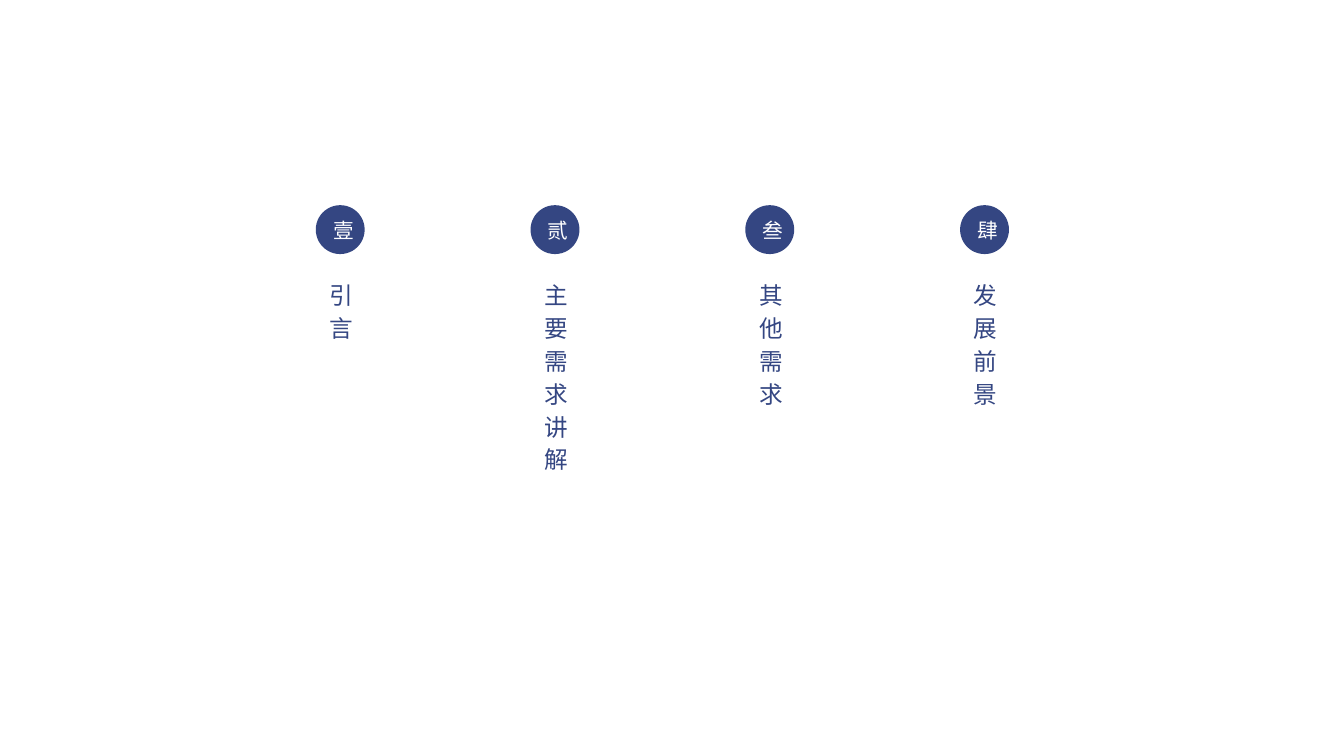
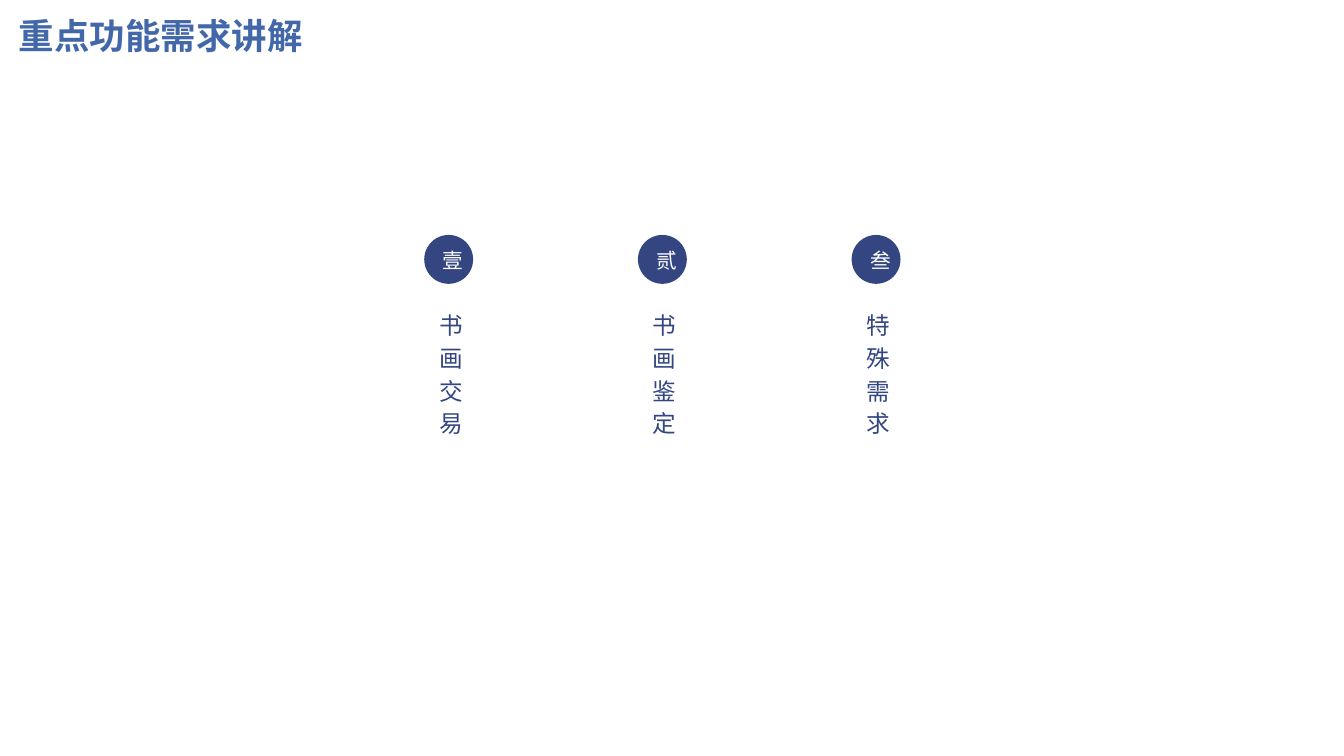
"""Builds a contents slide and a section slide with numbered vertical labels."""
from pptx import Presentation
from pptx.dml.color import RGBColor as RGB
from pptx.enum.shapes import MSO_SHAPE as Shape
from pptx.enum.text import MSO_AUTO_SIZE as Fit, PP_ALIGN as Align
from pptx.util import Inches, Pt

MARKS = "壹贰叁肆"
SLIDES = [
    {"title": None, "left": 2.97, "top": 1.93, "step": 2.02, "shift": -0.01,
     "labels": ["引言", "主要需求讲解", "其他需求", "发展前景"]},
    {"title": "重点功能需求讲解", "left": 3.99, "top": 2.21, "step": 2.01, "shift": 0,
     "labels": ["书画交易", "书画鉴定", "特殊需求"]},
]


class Theme:
    font = "Noto Sans CJK SC"
    navy = RGB.from_string("344682")
    blue = RGB.from_string("4368AA")
    white = RGB.from_string("FFFFFF")
    title, label, mark = Pt(24), Pt(16), Pt(14)
    spacing = 1.16
    side, edge = 0.14, 0.07


def add_text(slide, text, box, size, color, bold=False):
    frame = slide.shapes.add_textbox(*map(Inches, box)).text_frame
    frame.word_wrap = True
    para = frame.paragraphs[0]
    run = para.add_run()
    run.text = text
    font = run.font
    font.name, font.size, font.bold = Theme.font, size, bold
    font.color.rgb = color
    props = run._r.get_or_add_rPr()
    east = props.makeelement(
        "{http://schemas.openxmlformats.org/drawingml/2006/main}ea",
        {"typeface": Theme.font})
    props.append(east)
    return frame


def add_tight(slide, text, box, size, color, align):
    frame = add_text(slide, text, box, size, color)
    frame.margin_left = frame.margin_right = Inches(Theme.side)
    frame.margin_top = frame.margin_bottom = Inches(Theme.edge)
    frame.auto_size = Fit.SHAPE_TO_FIT_TEXT
    para = frame.paragraphs[0]
    para.line_spacing, para.alignment = Theme.spacing, align


def add_item(slide, mark, label, left, top, shift):
    x = left + shift
    high = 2 * Theme.edge + 0.31 * len(label)
    add_tight(slide, label, (x, top + 0.6, 0.57, high),
              Theme.label, Theme.navy, Align.LEFT)
    disc = slide.shapes.add_shape(
        Shape.OVAL, *map(Inches, (left, top, 0.46, 0.46)))
    disc.shadow.inherit = False
    disc.fill.solid()
    disc.fill.fore_color.rgb = Theme.navy
    disc.line.fill.background()
    add_tight(slide, mark, (x, top + 0.01, 0.54, 0.42),
              Theme.mark, Theme.white, Align.CENTER)


def main():
    deck = Presentation()
    deck.slide_width, deck.slide_height = Inches(12.64), Inches(7.11)
    for data in SLIDES:
        slide = deck.slides.add_slide(deck.slide_layouts[6])
        for i, (mark, label) in enumerate(zip(MARKS, data["labels"])):
            add_item(slide, mark, label, data["left"] + i * data["step"],
                     data["top"], data["shift"])
        if data["title"]:
            add_text(slide, data["title"], (0.08, 0.08, 2.9, 0.72),
                     Theme.title, Theme.blue, True)
    deck.save("out.pptx")


if __name__ == "__main__":
    main()
